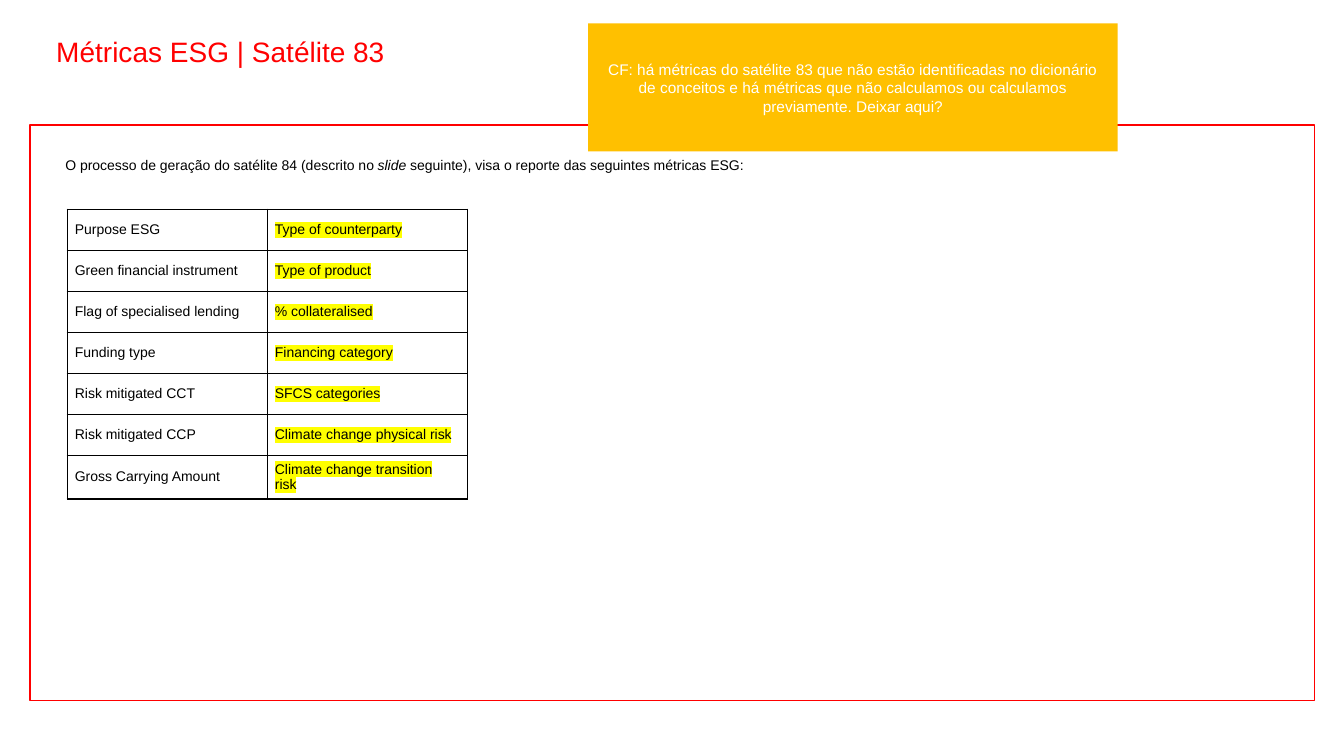
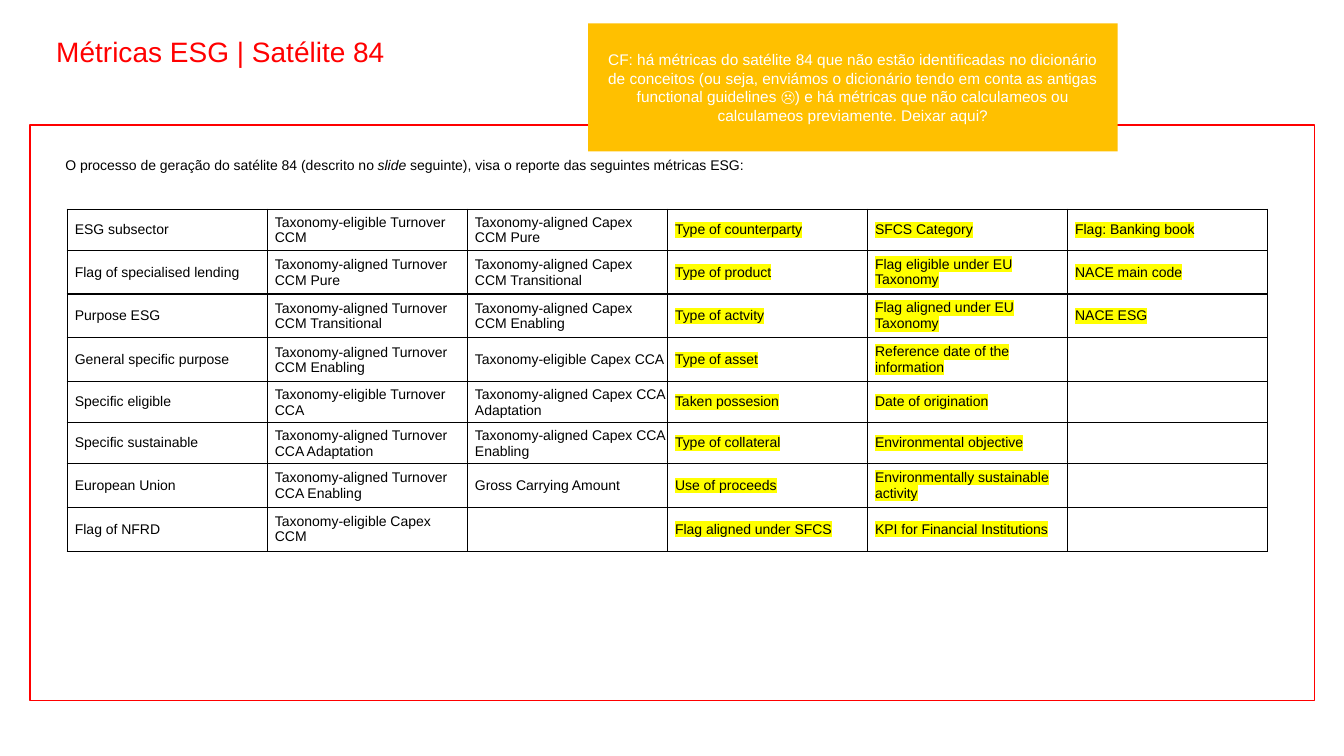
import pptx
import pptx.util
import pptx.dml.color
import pptx.enum.shapes
import pptx.enum.text
import pptx.oxml
import pptx.oxml.ns

Pt = pptx.util.Pt
ALIGN = pptx.enum.text.PP_ALIGN
ANCHOR = pptx.enum.text.MSO_ANCHOR
COLORS = {"red": "FF0000", "amber": "FFC000", "yellow": "FFFF00", "black": "000000", "white": "FFFFFF"}
FONT = "Arial"

SLIDE_W, SLIDE_H = 960, 540
FRAME = (21.5, 89.3, 917.5, 411)
TITLE = (33.1, 23.8, 729.4, 28.8)
BODY = (39.6, 108, 881.3, 383)
GRID = (48, 149.5)
CALLOUT = (420.2, 16.7, 378.2, 91.5)
COL_W, ROW_H = 142.9, 29.3

TITLE_FONT = {"name": FONT, "size": Pt(20)}
BODY_FONT = {"name": FONT, "size": Pt(10)}
CALLOUT_FONT = {"name": FONT, "size": Pt(11)}
TITLE_PARAGRAPH = {"line_spacing": 0.9, "space_before": Pt(0)}
CELL = {
    "vertical_anchor": ANCHOR.MIDDLE,
    "margin_left": Pt(5.5),
    "margin_right": Pt(7.2),
    "margin_top": Pt(3.6),
    "margin_bottom": Pt(3.6),
}
TIGHT_CELL = CELL | {"margin_right": Pt(0.5), "margin_top": Pt(0.5), "margin_bottom": Pt(0)}

INTRO = (
    ("O processo de geração do satélite 84 (descrito no ", False),
    ("slide ", True),
    ("seguinte), visa o reporte das seguintes métricas ESG:", False),
)

SLIDES = [
    {
        "title": "Métricas ESG | Satélite 83",
        "callout": "CF: há métricas do satélite 83 que não estão identificadas no dicionário de conceitos "
        "e há métricas que não calculamos ou calculamos previamente. Deixar aqui?",
        "plain": [
            ["Purpose ESG", "Green financial instrument", "Flag of specialised lending", "Funding type",
             "Risk mitigated CCT", "Risk mitigated CCP", "Gross Carrying Amount"],
        ],
        "marked": [
            ["Type of counterparty", "Type of product", "% collateralised", "Financing category",
             "SFCS categories", "Climate change physical risk", "Climate change transition risk"],
        ],
    },
    {
        "title": "Métricas ESG | Satélite 84",
        "callout": "CF: há métricas do satélite 84 que não estão identificadas no dicionário de conceitos "
        "(ou seja, enviámos o dicionário tendo em conta as antigas functional guidelines ☹) "
        "e há métricas que não calculameos ou calculameos previamente. Deixar aqui?",
        "plain": [
            ["ESG subsector", "Flag of specialised lending", "Purpose ESG", "General specific purpose",
             "Specific eligible", "Specific sustainable", "European Union", "Flag of NFRD"],
            ["Taxonomy-eligible Turnover CCM", "Taxonomy-aligned Turnover CCM Pure",
             "Taxonomy-aligned Turnover CCM Transitional", "Taxonomy-aligned Turnover CCM Enabling",
             "Taxonomy-eligible Turnover CCA", "Taxonomy-aligned Turnover CCA Adaptation",
             "Taxonomy-aligned Turnover CCA Enabling", "Taxonomy-eligible Capex CCM"],
            ["Taxonomy-aligned Capex CCM Pure", "Taxonomy-aligned Capex CCM Transitional",
             "Taxonomy-aligned Capex CCM Enabling", "Taxonomy-eligible Capex CCA",
             "Taxonomy-aligned Capex CCA Adaptation", "Taxonomy-aligned Capex CCA Enabling",
             "Gross Carrying Amount", ""],
        ],
        "marked": [
            ["Type of counterparty", "Type of product", "Type of actvity", "Type of asset",
             "Taken possesion", "Type of collateral", "Use of proceeds", "Flag aligned under SFCS"],
            ["SFCS Category", "Flag eligible under EU Taxonomy", "Flag aligned under EU Taxonomy",
             "Reference date of the information", "Date of origination", "Environmental objective",
             "Environmentally sustainable activity", "KPI for Financial Institutions"],
            ["Flag: Banking book", "NACE main code", "NACE ESG", "", "", "", "", ""],
        ],
    },
]


def rgb(color):
    """Return the named colour."""
    return pptx.dml.color.RGBColor.from_string(COLORS[color])


def apply(obj, values):
    """Set each attribute of obj from a dict."""
    for name, value in values.items():
        setattr(obj, name, value)


def add_run(p, text, font, color):
    """Append a formatted run to a paragraph."""
    r = p.add_run()
    r.text = text
    apply(r.font, font)
    r.font.color.rgb = rgb(color)
    return r


def xml(tag, body, attrs=""):
    """Build a DrawingML element."""
    return pptx.oxml.parse_xml(f'<a:{tag} {pptx.oxml.ns.nsdecls("a")} {attrs}>{body}</a:{tag}>')


def highlight(r):
    """Put a yellow marker behind a run."""
    latin = r.font._element.find(pptx.oxml.ns.qn("a:latin"))
    latin.addprevious(xml("highlight", f'<a:srgbClr val="{COLORS["yellow"]}"/>'))


def add_borders(cell):
    """Draw a thin black line on every side of a cell."""
    fill = f'<a:solidFill><a:srgbClr val="{COLORS["black"]}"/></a:solidFill>'
    for side in ("lnL", "lnR", "lnT", "lnB"):
        cell._tc.get_or_add_tcPr().append(xml(side, fill, f'w="{Pt(1)}"'))


def add_rect(s, box):
    """Add a rectangle without shadow, fill or line."""
    sp = s.shapes.add_shape(pptx.enum.shapes.MSO_SHAPE.RECTANGLE, *map(Pt, box))
    sp.shadow.inherit = False
    sp.fill.background()
    sp.line.fill.background()
    return sp


def add_text(s, box):
    """Add a wrapping text box and return its first paragraph."""
    tf = s.shapes.add_textbox(*map(Pt, box)).text_frame
    tf.word_wrap = True
    return tf.paragraphs[0]


def add_frame(s, box):
    """Outline the content area in red."""
    sp = add_rect(s, box)
    sp.line.color.rgb = rgb("red")
    sp.line.width = Pt(1)


def add_title(s, box, text):
    """Write the slide title."""
    p = add_text(s, box)
    apply(p, TITLE_PARAGRAPH)
    add_run(p, text, TITLE_FONT, "red")


def add_intro(s, box):
    """Write the sentence above the table."""
    p = add_text(s, box)
    for text, italic in INTRO:
        add_run(p, text, BODY_FONT | {"italic": italic}, "black")


def add_callout(s, box, text):
    """Place the amber comment."""
    sp = add_rect(s, box)
    sp.fill.solid()
    sp.fill.fore_color.rgb = rgb("amber")
    tf = sp.text_frame
    apply(tf, {"word_wrap": True, "vertical_anchor": ANCHOR.MIDDLE})
    p = tf.paragraphs[0]
    p.alignment = ALIGN.CENTER
    add_run(p, text, CALLOUT_FONT, "white")


def fill_cell(cell, text, marked, tight):
    """Write and format one table cell."""
    apply(cell, TIGHT_CELL if tight else CELL)
    add_borders(cell)
    cell.fill.background()
    p = cell.text_frame.paragraphs[0]
    apply(p.font, BODY_FONT)
    if text:
        r = add_run(p, text, BODY_FONT, "black")
        if marked:
            highlight(r)


def add_metrics(s, origin, plain, marked):
    """Lay out the metrics table column by column."""
    columns = plain + marked
    n_rows, n_cols = len(columns[0]), len(columns)
    box = (*origin, n_cols * COL_W, n_rows * ROW_H)
    table = s.shapes.add_table(n_rows, n_cols, *map(Pt, box)).table
    apply(table, {"first_row": False, "horz_banding": False})
    for row in table.rows:
        row.height = Pt(ROW_H)
    for j, texts in enumerate(columns):
        table.columns[j].width = Pt(COL_W)
        for i, text in enumerate(texts):
            tight = text.startswith("Taxonomy") and i < n_rows - 1
            fill_cell(table.cell(i, j), text, j >= len(plain), tight)


def add_slide(prs, content):
    """Build one metrics slide."""
    s = prs.slides.add_slide(prs.slide_layouts[6])
    add_frame(s, FRAME)
    add_title(s, TITLE, content["title"])
    add_intro(s, BODY)
    add_metrics(s, GRID, content["plain"], content["marked"])
    add_callout(s, CALLOUT, content["callout"])


def main():
    """Create the presentation."""
    prs = pptx.Presentation()
    apply(prs, {"slide_width": Pt(SLIDE_W), "slide_height": Pt(SLIDE_H)})
    for content in SLIDES:
        add_slide(prs, content)
    prs.save("out.pptx")


if __name__ == "__main__":
    main()
